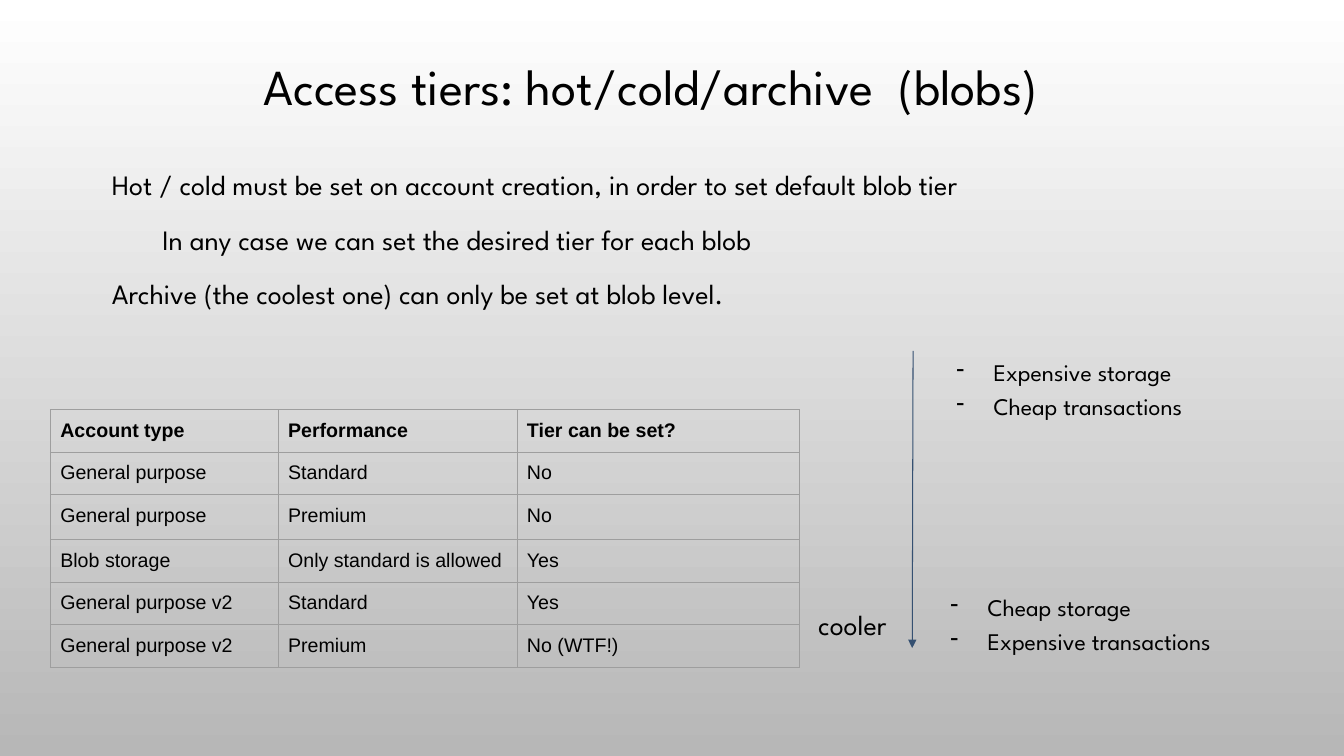
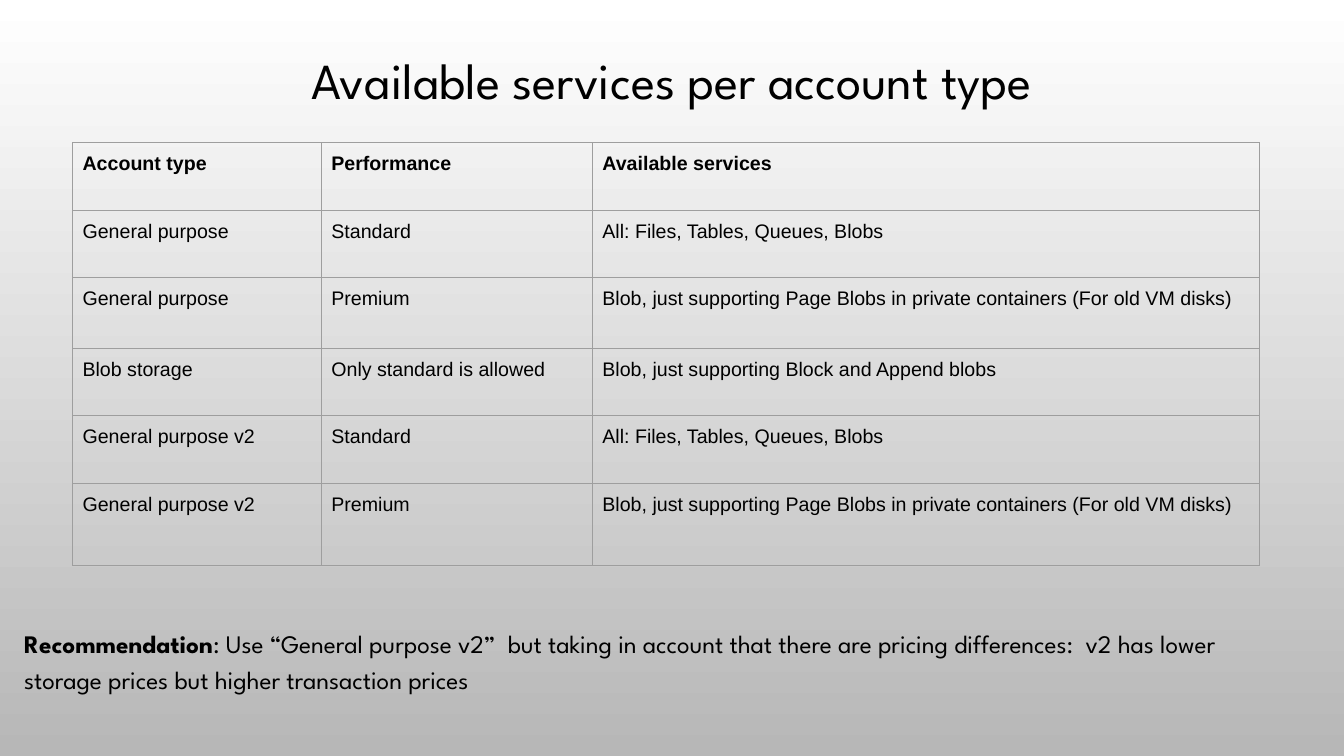
from dataclasses import dataclass

from lxml import etree
from pptx import Presentation
from pptx import util as u
from pptx.dml.color import RGBColor
from pptx.enum import shapes, text
from pptx.oxml import ns


@dataclass(frozen=True)
class Theme:
    # Colours
    ink: str = "000000"
    arrow: str = "355071"
    grid: str = "9E9E9E"
    sky: str = "FFFFFF"
    ground: str = "B7B7B7"
    # Fonts and type sizes
    font: str = "League Spartan"
    table_font: str = "Arial"
    title: int = 36
    body: int = 20
    note: int = 18
    small: int = 17
    cell: int = 14
    # Line width in points, inset in centimetres
    line: float = 0.75
    inset: float = 0.25


THEME = Theme()


def add_element(parent, tag, **attributes):
    return etree.SubElement(parent, ns.qn(tag), attributes)


def write(para, content, *, size, font=THEME.font, color=THEME.ink, bold=False,
          align=None, spacing=1.2, before=10, left=0, first=0, bullet=None):
    """Add a span of text to a paragraph and format both."""
    para.alignment = align
    para.line_spacing = spacing
    para.space_before = u.Pt(before)
    properties = para._p.get_or_add_pPr()
    properties.set("marL", str(u.Cm(left)))
    properties.set("indent", str(u.Cm(first)))
    if bullet:
        add_element(properties, "a:buChar", char=bullet)
    elif properties.find(ns.qn("a:buNone")) is None:
        add_element(properties, "a:buNone")
    span = para.add_run()
    span.text = content
    span.font.size = u.Pt(size)
    span.font.name = font
    span.font.bold = bold
    span.font.color.rgb = RGBColor.from_string(color)


class SlideBuilder:
    def __init__(self, theme):
        self.theme = theme
        self.page = None
        self.deck = Presentation()
        self.deck.slide_width = u.Cm(33.87)
        self.deck.slide_height = u.Cm(19.05)
        # Background shared by all slides
        fill = self.deck.slide_master.background.fill
        fill.gradient()
        fill.gradient_angle = 270
        for stop, color in zip(fill.gradient_stops, (theme.sky, theme.ground)):
            stop.color.rgb = RGBColor.from_string(color)

    def new_page(self, layout_name):
        layout = self.deck.slide_layouts.get_by_name(layout_name)
        self.page = self.deck.slides.add_slide(layout)

    def place(self, box, left, top, width, height, anchor):
        """Position a box and return its prepared text frame."""
        box.left, box.top = u.Cm(left), u.Cm(top)
        box.width, box.height = u.Cm(width), u.Cm(height)
        frame = box.text_frame
        frame.word_wrap = True
        frame.auto_size = text.MSO_AUTO_SIZE.NONE
        frame.vertical_anchor = anchor
        frame.margin_left = frame.margin_right = u.Cm(self.theme.inset)
        frame.margin_top = frame.margin_bottom = u.Cm(self.theme.inset)
        return frame

    def title(self, content, *place):
        frame = self.place(self.page.shapes.title, *place, text.MSO_ANCHOR.MIDDLE)
        write(frame.paragraphs[0], content, size=self.theme.title,
              align=text.PP_ALIGN.CENTER, spacing=0.9, before=0)

    def body(self, lines, *place):
        """Fill the body placeholder with (text, first-line indent) pairs."""
        frame = self.place(self.page.placeholders[1], *place, text.MSO_ANCHOR.TOP)
        for index, (content, first) in enumerate(lines):
            para = frame.add_paragraph() if index else frame.paragraphs[0]
            write(para, content, size=self.theme.body, first=first)

    def text_box(self, *place, anchor=text.MSO_ANCHOR.MIDDLE):
        box = self.page.shapes.add_textbox(0, 0, 0, 0)
        return self.place(box, *place, anchor)

    def label(self, content, *place):
        frame = self.text_box(*place, anchor=text.MSO_ANCHOR.TOP)
        write(frame.paragraphs[0], content, size=self.theme.body)

    def dash_list(self, lines, *place):
        frame = self.text_box(*place)
        for index, content in enumerate(lines):
            para = frame.add_paragraph() if index else frame.paragraphs[0]
            write(para, content, size=self.theme.small, before=0 if index else 10,
                  left=1.27, first=-0.94, bullet="-")

    def note(self, lead, content, *place):
        para = self.text_box(*place).paragraphs[0]
        write(para, lead, size=self.theme.note, bold=True)
        write(para, content, size=self.theme.note)

    def arrow(self, *ends):
        line = self.page.shapes.add_connector(
            shapes.MSO_CONNECTOR.STRAIGHT, *map(u.Cm, ends))
        line.line.color.rgb = RGBColor.from_string(self.theme.arrow)
        line.line.width = u.Pt(self.theme.line)
        add_element(line.line._get_or_add_ln(), "a:tailEnd", type="triangle")
        add_element(line._element.spPr, "a:effectLst")

    def table(self, rows, left, top, widths, heights):
        grid = self.page.shapes.add_table(
            len(rows), len(widths), u.Cm(left), u.Cm(top),
            u.Cm(sum(widths)), u.Cm(sum(heights))).table
        grid.first_row = grid.horz_banding = False
        for column, width in zip(grid.columns, widths):
            column.width = u.Cm(width)
        for index, (row, height) in enumerate(zip(grid.rows, heights)):
            row.height = u.Cm(height)
            for cell, content in zip(row.cells, rows[index]):
                self.cell(cell, content, bold=index == 0)

    def cell(self, cell, content, bold):
        cell.margin_left = cell.margin_right = u.Cm(self.theme.inset)
        cell.margin_top = cell.margin_bottom = u.Cm(self.theme.inset)
        properties = cell._tc.get_or_add_tcPr()
        for side in ("a:lnL", "a:lnR", "a:lnT", "a:lnB"):
            border = add_element(properties, side, w=str(u.Pt(self.theme.line)))
            fill = add_element(border, "a:solidFill")
            add_element(fill, "a:srgbClr", val=self.theme.grid)
        cell.fill.background()
        write(cell.text_frame.paragraphs[0], content, size=self.theme.cell,
              font=self.theme.table_font, bold=bold, spacing=1.0, before=0)


# Account columns common to both tables
ACCOUNTS = [
    ("Account type", "Performance"),
    ("General purpose", "Standard"),
    ("General purpose", "Premium"),
    ("Blob storage", "Only standard is allowed"),
    ("General purpose v2", "Standard"),
    ("General purpose v2", "Premium"),
]


def with_accounts(column):
    return [(*account, value) for account, value in zip(ACCOUNTS, column)]


def access_tiers(slides):
    slides.new_page("Title and Content")
    slides.title("Access tiers: hot/cold/archive  (blobs)", 2.01, 1.04, 28.78, 2.41)
    slides.body([
        ("Hot / cold must be set on account creation, in order to set default blob tier", 0),
        ("In any case we can set the desired tier for each blob", 1.27),
        ("Archive (the coolest one) can only be set at blob level.", 0),
    ], 2.57, 3.81, 24.66, 4.34)
    tiers = ["Tier can be set?", "No", "No", "Yes", "Yes", "No (WTF!)"]
    slides.table(with_accounts(tiers), 1.27, 10.32, [5.74, 6.02, 7.11],
                 [1.07, 1.07, 1.14, 1.07, 1.07, 1.07])
    # Scale from hot to cool
    slides.label("cooler", 20.37, 14.88, 2.64, 2.06)
    slides.arrow(23.01, 8.84, 22.99, 16.33)
    slides.dash_list(["Cheap storage", "Expensive transactions"],
                     23.37, 13.23, 8.33, 4.83)
    slides.dash_list(["Expensive storage", "Cheap transactions"],
                     23.52, 7.32, 8.33, 4.83)


def available_services(slides):
    slides.new_page("Title Only")
    slides.title("Available services per account type", 2.54, 1.04, 28.78, 2.13)
    everything = "All: Files, Tables, Queues, Blobs"
    page_blobs = "Blob, just supporting Page Blobs in private containers (For old VM disks)"
    services = ["Available services", everything, page_blobs,
                "Blob, just supporting Block and Append blobs", everything, page_blobs]
    slides.table(with_accounts(services), 1.83, 3.6, [6.27, 6.83, 16.81],
                 [1.7, 1.7, 1.78, 1.7, 1.7, 2.06])
    slides.note("Recommendation",
                ": Use “General purpose v2”  but taking in account that there are "
                "pricing differences:  v2 has lower storage prices but higher "
                "transaction prices", 0.36, 15.44, 30.66, 2.29)


def main():
    slides = SlideBuilder(THEME)
    access_tiers(slides)
    available_services(slides)
    slides.deck.save("out.pptx")


if __name__ == "__main__":
    main()
